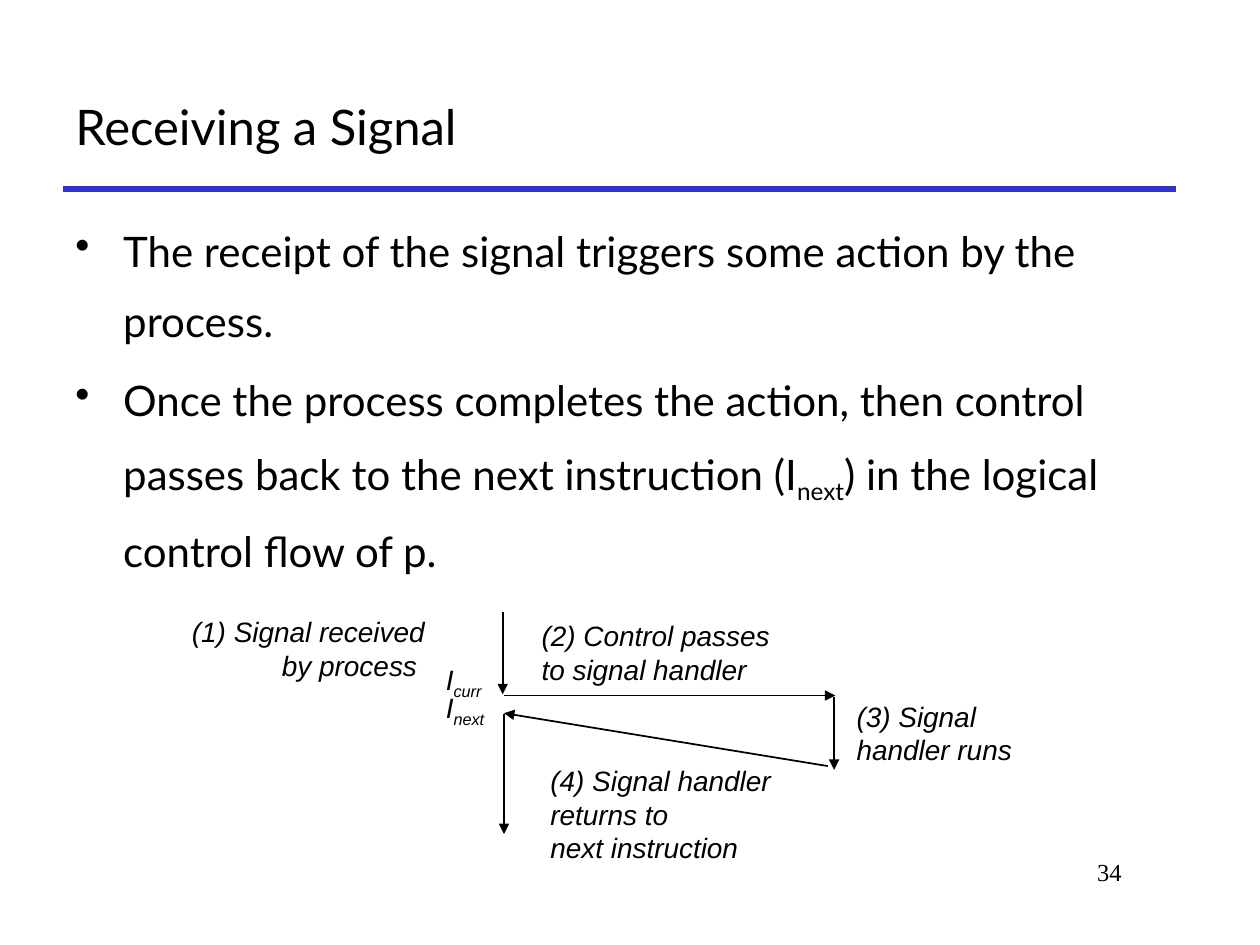
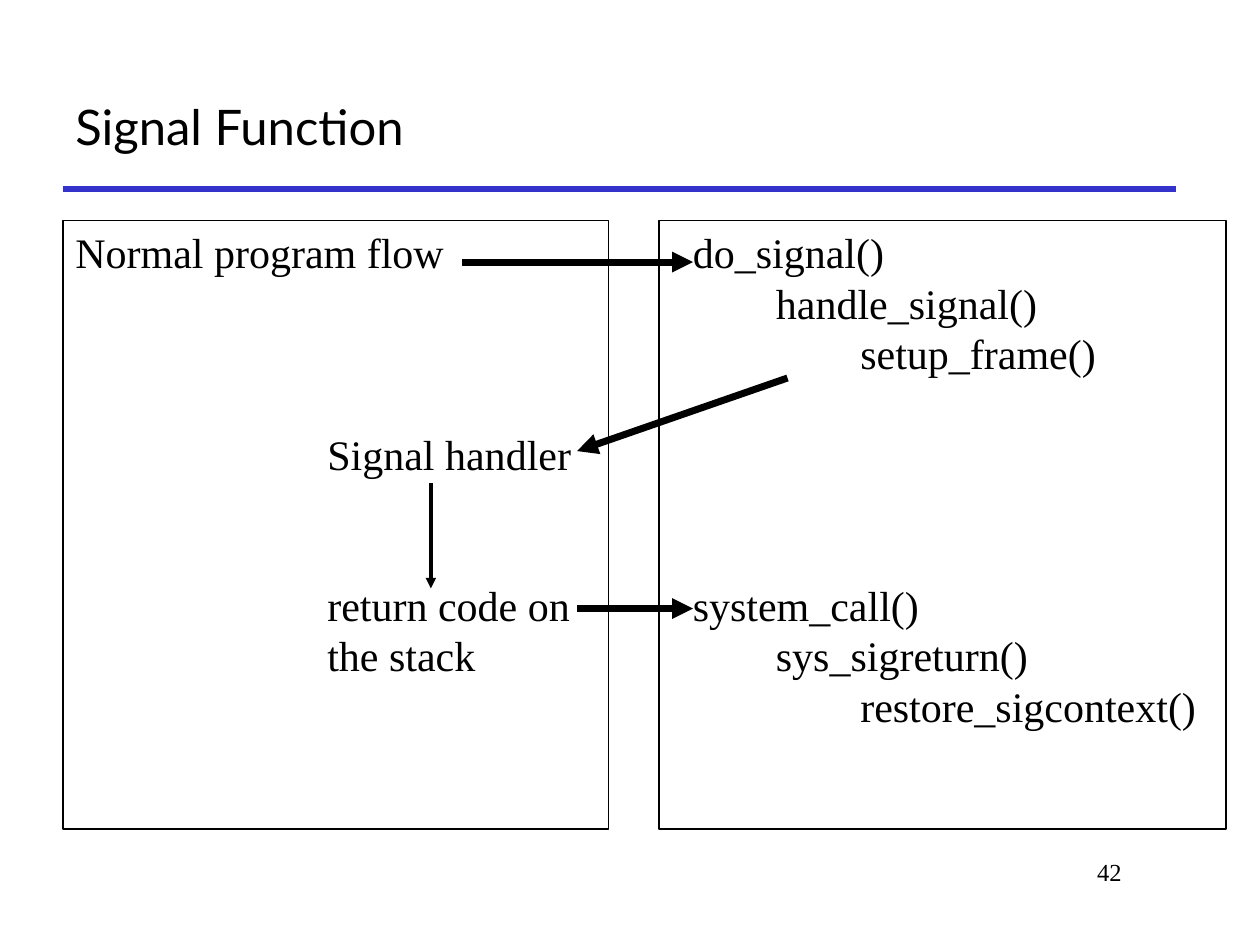
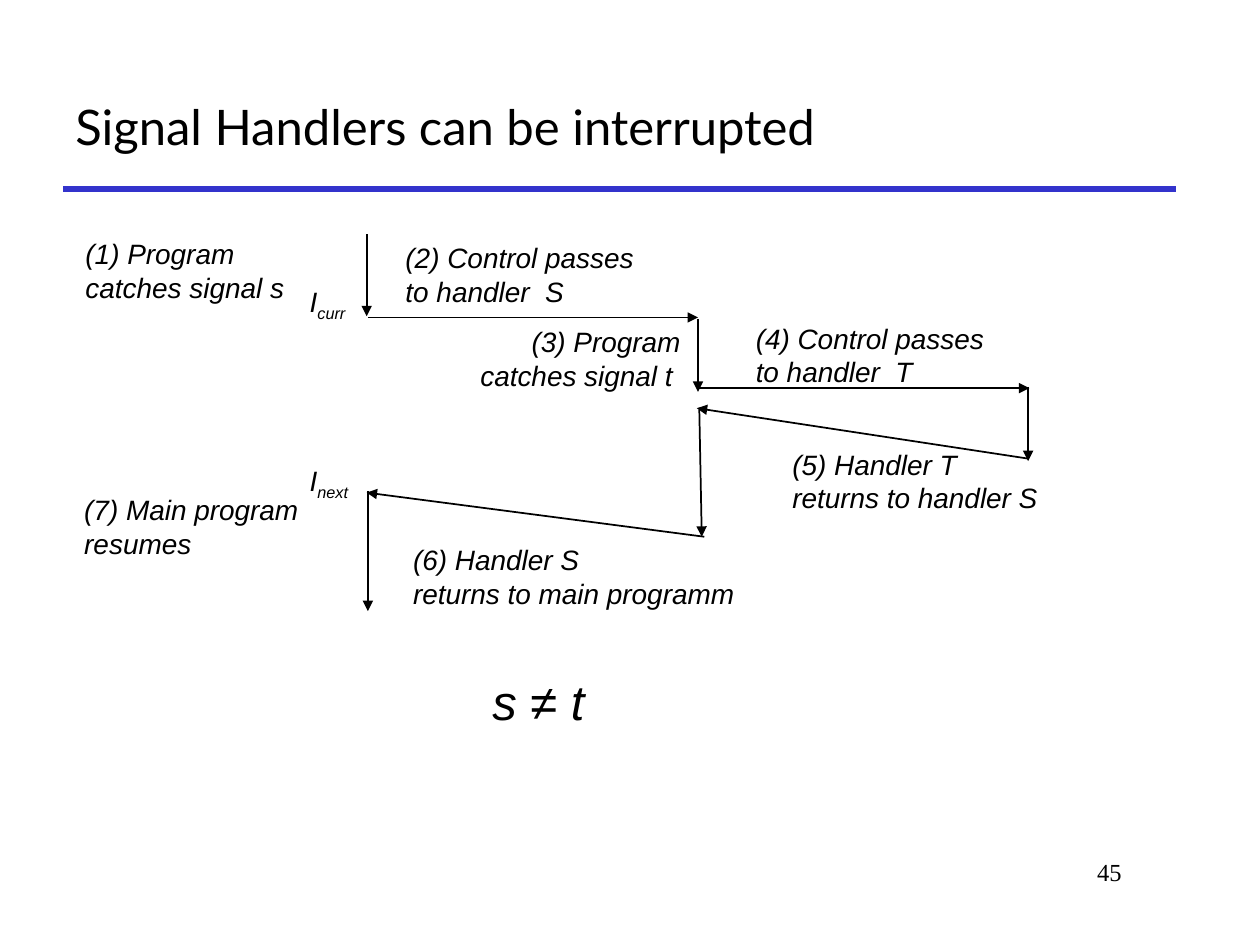
import dataclasses

import lxml.etree
import pptx
import pptx.dml.color
import pptx.enum.shapes
import pptx.enum.text
import pptx.oxml.ns
import pptx.util

Inches = pptx.util.Inches
Pt = pptx.util.Pt
ALIGN = pptx.enum.text.PP_ALIGN
ANCHOR = pptx.enum.text.MSO_ANCHOR
qn = pptx.oxml.ns.qn


@dataclasses.dataclass(frozen=True)
class Theme:
    ink: str = "000000"
    accent: str = "3333CC"
    heading_font: str = "Lato"
    label_font: str = "Arial"
    serif_font: str = "Times New Roman"
    title_size: int = 28
    body_size: int = 24
    label_size: int = 16
    number_size: int = 14
    panel_pitch: float = 28.8


THEME = Theme()


def color(value):
    return pptx.dml.color.RGBColor.from_string(value)


def style(para, name, size, italic=None):
    para.font.name = name
    para.font.size = Pt(size)
    para.font.italic = italic
    para.font.color.rgb = color(THEME.ink)


def add_text_box(page, left, top, width, height, wrap=True):
    box = page.shapes.add_textbox(Inches(left), Inches(top), Inches(width), Inches(height))
    box.text_frame.word_wrap = wrap
    return box.text_frame


def next_paragraph(frame, index):
    return frame.add_paragraph() if index else frame.paragraphs[0]


def add_spans(para, parts):
    for index, part in enumerate(parts):
        span = para.add_run()
        span.text = part
        if index % 2:
            span._r.get_or_add_rPr().set("baseline", "-25000")


def add_line(page, start, end, weight=1, ink=THEME.ink, arrow=True):
    line = page.shapes.add_connector(
        pptx.enum.shapes.MSO_CONNECTOR.STRAIGHT, *map(Inches, start + end))
    line.line.color.rgb = color(ink)
    line.line.width = Pt(weight)
    if arrow:
        lxml.etree.SubElement(line.line._ln, qn("a:tailEnd"), type="triangle")
    lxml.etree.SubElement(line._element.spPr, qn("a:effectLst"))


def add_arrows(page, arrows):
    for start, end in arrows:
        add_line(page, start, end)


def add_label(page, left, top, width, height, *lines, align=ALIGN.LEFT, size=THEME.label_size):
    frame = add_text_box(page, left, top, width, height, wrap=len(lines) == 1)
    for index, line in enumerate(lines):
        para = next_paragraph(frame, index)
        para.text = line
        para.alignment = align
        style(para, THEME.label_font, size, italic=True)


def add_instruction(page, left, top, subscript):
    para = add_text_box(page, left, top, 0.55, 0.37, wrap=False).paragraphs[0]
    add_spans(para, ["I", subscript])
    style(para, THEME.label_font, THEME.label_size, italic=True)


def add_bullets(page, left, top, width, height, items):
    frame = add_text_box(page, left, top, width, height)
    for index, parts in enumerate(items):
        para = next_paragraph(frame, index)
        para.line_spacing = 1.4
        if index:
            para.space_before = Pt(0.2 * THEME.body_size)
        properties = para._p.get_or_add_pPr()
        properties.set("marL", str(Inches(0.38)))
        properties.set("indent", str(-Inches(0.38)))
        lxml.etree.SubElement(properties, qn("a:buChar"), char="•")
        add_spans(para, parts)
        style(para, THEME.heading_font, THEME.body_size)


def add_panel(page, left, width, entries):
    panel = page.shapes.add_shape(
        pptx.enum.shapes.MSO_SHAPE.RECTANGLE,
        Inches(left), Inches(1.75), Inches(width), Inches(4.83))
    panel.shadow.inherit = False
    panel.fill.background()
    panel.line.color.rgb = color(THEME.ink)
    panel.line.width = Pt(0.75)
    frame = panel.text_frame
    frame.word_wrap = True
    frame.vertical_anchor = ANCHOR.TOP
    for index, (indent, skipped_lines, text) in enumerate(entries):
        para = next_paragraph(frame, index)
        para.text = text
        para.alignment = ALIGN.LEFT
        para.line_spacing = Pt(THEME.panel_pitch)
        if skipped_lines:
            para.space_before = Pt(skipped_lines * THEME.panel_pitch)
        para._p.get_or_add_pPr().set("marL", str(Inches(indent)))
        style(para, THEME.serif_font, THEME.body_size)


def add_page(deck, title, number):
    page = deck.slides.add_slide(deck.slide_layouts[6])
    add_line(page, (0.5, 1.5), (9.33, 1.5), 3, THEME.accent, arrow=False)

    frame = add_text_box(page, 7.58, 6.75, 1.42, 0.5)
    para = frame.paragraphs[0]
    para.text = str(number)
    para.alignment = ALIGN.RIGHT
    style(para, THEME.serif_font, THEME.number_size)

    frame = add_text_box(page, 0.5, 0.5, 8.83, 1)
    frame.vertical_anchor = ANCHOR.MIDDLE
    para = frame.paragraphs[0]
    para.text = title
    style(para, THEME.heading_font, THEME.title_size)
    return page


def build_receiving(deck):
    page = add_page(deck, "Receiving a Signal", 34)
    add_bullets(page, 0.5, 1.58, 9, 3, [
        ["The receipt of the signal triggers some action by the process."],
        ["Once the process completes the action, then control passes back "
         "to the next instruction (I", "next", ") in the logical control flow of p."],
    ])
    add_arrows(page, [
        ((3.99, 4.86), (3.99, 5.51)),
        ((4, 5.52), (6.63, 5.52)),
        ((6.62, 5.53), (6.62, 6.11)),
        ((6.57, 6.08), (4, 5.66)),
        ((4, 5.67), (4, 6.62)),
    ])
    add_label(page, 1.31, 4.83, 2.16, 0.64,
              "(1) Signal received by process ", align=ALIGN.RIGHT)
    add_label(page, 4.2, 4.86, 2.1, 0.64, "(2) Control passes", "to signal handler")
    add_label(page, 6.7, 5.5, 1.63, 0.64, "(3) Signal handler runs")
    add_label(page, 4.27, 6.01, 1.97, 0.91,
              "(4) Signal handler", "returns to", "next instruction")
    add_instruction(page, 3.44, 5.21, "curr")
    add_instruction(page, 3.44, 5.43, "next")


def build_function(deck):
    page = add_page(deck, "Signal Function", 42)
    add_panel(page, 0.5, 4.33, [
        (0, 0, "Normal program flow"),
        (2, 3, "Signal handler"),
        (2, 2, "return code on"),
        (2, 0, "the stack"),
    ])
    call_indents = [0.17, 0.83, 1.5]
    call_chains = [
        (0, ["do_signal()", "handle_signal()", "setup_frame()"]),
        (4, ["system_call()", "sys_sigreturn()", "restore_sigcontext()"]),
    ]
    add_panel(page, 5.23, 4.5, [
        (indent, 0 if depth else skipped_lines, call)
        for skipped_lines, calls in call_chains
        for depth, (indent, call) in enumerate(zip(call_indents, calls))
    ])
    add_line(page, (3.67, 2.08), (5.5, 2.08), 4)
    add_line(page, (6.25, 3), (4.58, 3.58), 4)
    add_line(page, (3.42, 3.83), (3.42, 4.67), 2)
    add_line(page, (4.58, 4.83), (5.5, 4.83), 4)


def build_interrupted(deck):
    page = add_page(deck, "Signal Handlers can be interrupted", 45)
    add_arrows(page, [
        ((2.91, 1.86), (2.91, 2.51)),
        ((2.92, 2.52), (5.54, 2.52)),
        ((5.54, 2.53), (5.54, 3.11)),
        ((5.54, 3.08), (8.17, 3.08)),
        ((8.16, 3.07), (8.16, 3.66)),
        ((8.16, 3.64), (5.53, 3.24)),
        ((5.55, 3.25), (5.57, 4.26)),
        ((5.59, 4.26), (2.91, 3.91)),
        ((2.92, 3.9), (2.92, 4.85)),
    ])
    add_label(page, 0.58, 1.83, 1.78, 0.64, "(1) Program catches signal s")
    add_label(page, 3.12, 1.86, 2.1, 0.64, "(2) Control passes", "to handler  S")
    add_label(page, 3.34, 2.53, 2.16, 0.64,
              "(3) Program catches signal t ", align=ALIGN.RIGHT)
    add_label(page, 5.9, 2.5, 2.1, 0.64, "(4) Control passes", "to handler  T")
    add_label(page, 6.19, 3.5, 2.23, 0.64, "(5) Handler T", "returns to handler S")
    add_label(page, 3.18, 4.26, 2.85, 0.64, "(6) Handler S", "returns to main programm")
    add_label(page, 0.57, 3.86, 1.99, 0.64, "(7) Main program resumes")
    add_label(page, 3.81, 5.28, 1.03, 0.57, "s ≠ t", size=THEME.title_size)
    add_instruction(page, 2.36, 2.21, "curr")
    add_instruction(page, 2.36, 3.63, "next")


def main():
    deck = pptx.Presentation()
    deck.slide_width = Inches(10)
    deck.slide_height = Inches(7.5)
    build_receiving(deck)
    build_function(deck)
    build_interrupted(deck)
    deck.save("out.pptx")


if __name__ == "__main__":
    main()
